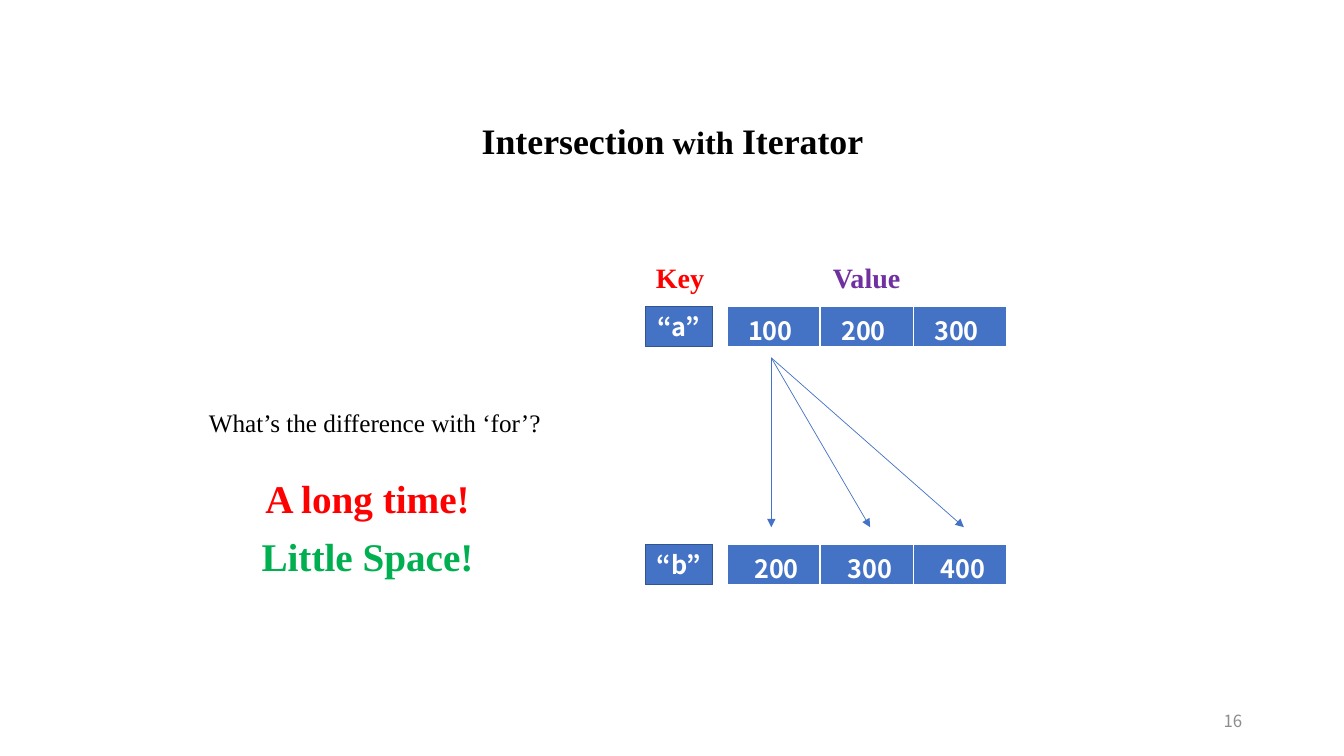
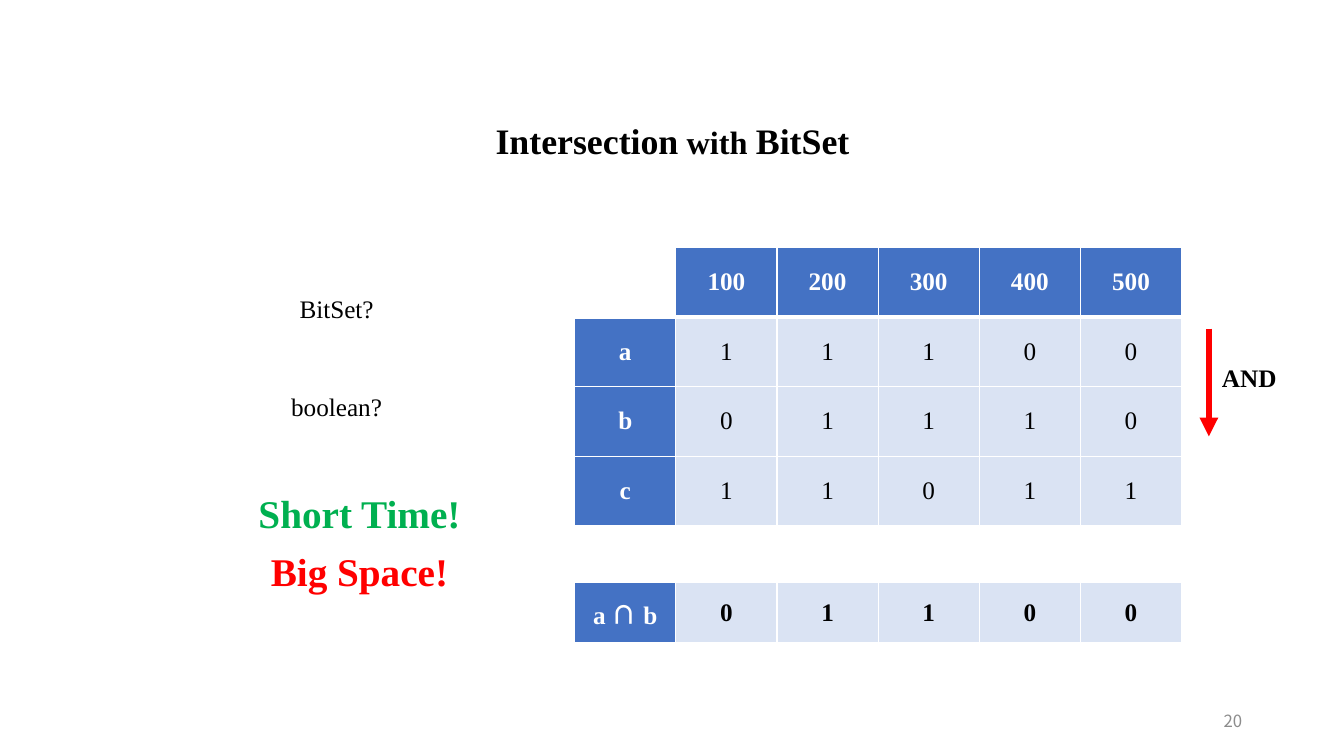
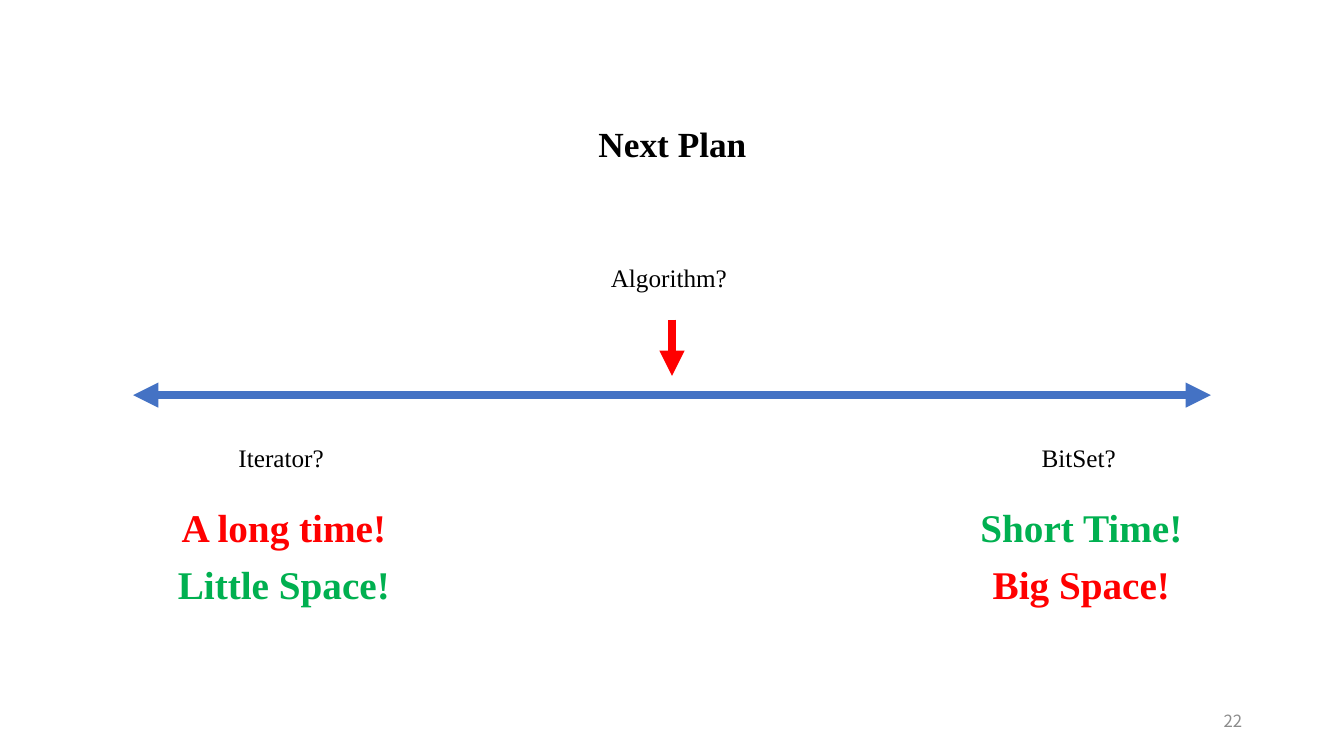
from lxml import etree
from pptx import Presentation
from pptx.dml.color import RGBColor
from pptx.enum.shapes import MSO_CONNECTOR, MSO_SHAPE
from pptx.enum.text import MSO_ANCHOR, PP_ALIGN
from pptx.oxml.ns import qn
from pptx.util import Inches, Pt

COLORS = {
    "black": "000000", "white": "FFFFFF", "blue": "4472C4", "edge": "325491",
    "pale": "DAE3F3", "red": "FF0000", "green": "00B050", "purple": "7030A0",
    "gray": "8C8C8C",
}
SERIF, SANS = "Times New Roman", "Noto Sans CJK KR"
BODY = {"name": SERIF, "size": 18, "color": "black", "bold": False}
HEADING = {**BODY, "bold": True}
CELL_HEAD = {**HEADING, "color": "white"}
BOX_TEXT = {**CELL_HEAD, "name": SANS}
VERDICT = {**HEADING, "size": 28}
PAGE_NUMBER = {**BODY, "name": SANS, "size": 12, "color": "gray"}

LONG_LITTLE = [("A long time!", "red"), ("Little Space!", "green")]
SHORT_BIG = [("Short Time!", "green"), ("Big Space!", "red")]


def rgb(name):
    return RGBColor.from_string(COLORS[name])


# Text
def style_run(r, fmt):
    for key, value in fmt.items():
        if key == "color":
            r.font.color.rgb = rgb(value)
        else:
            setattr(r.font, key, Pt(value) if key == "size" else value)
    etree.SubElement(r.font._element, qn("a:ea")).set("typeface", fmt["name"])


def write(tf, runs, fmt, align=PP_ALIGN.CENTER, spacing=None):
    """Fill the first paragraph; runs is a string or (text, overrides) pairs."""
    p = tf.paragraphs[0]
    p.alignment = align
    if spacing:
        p.line_spacing = spacing
    for text, changes in [(runs, {})] if isinstance(runs, str) else runs:
        r = p.add_run()
        r.text = text
        style_run(r, {**fmt, **changes})


def add_text(s, x, y, w, h, runs, fmt=BODY, anchor=MSO_ANCHOR.TOP, **para):
    tf = s.shapes.add_textbox(Inches(x), Inches(y), Inches(w), Inches(h)).text_frame
    tf.word_wrap = True
    tf.vertical_anchor = anchor
    write(tf, runs, fmt, **para)


def add_verdict(s, x, y, lines):
    for i, (text, color) in enumerate(lines):
        add_text(s, x, y + 0.57 * i, 3.09, 0.57, text, {**VERDICT, "color": color})


# Lines and boxes
def add_arrow(s, start, end, color, width, ends=("tailEnd",)):
    points = [Inches(v) for v in (*start, *end)]
    sp = s.shapes.add_connector(MSO_CONNECTOR.STRAIGHT, *points)
    sp.line.color.rgb = rgb(color)
    sp.line.width = Pt(width)
    ln = sp.line._get_or_add_ln()
    for end_name in ends:
        etree.SubElement(ln, qn(f"a:{end_name}")).set("type", "triangle")
    etree.SubElement(sp._element.spPr, qn("a:effectLst"))


def add_key_box(s, x, y, text):
    sp = s.shapes.add_shape(MSO_SHAPE.RECTANGLE, Inches(x), Inches(y),
                            Inches(0.67), Inches(0.4))
    sp.shadow.inherit = False
    sp.fill.solid()
    sp.fill.fore_color.rgb = rgb("blue")
    sp.line.color.rgb = rgb("edge")
    sp.line.width = Pt(1)
    sp.text_frame.vertical_anchor = MSO_ANCHOR.MIDDLE
    write(sp.text_frame, text, BOX_TEXT)


# Tables
def set_borders(cell, top, bottom):
    tcPr = cell._tc.get_or_add_tcPr()
    widths = {"lnL": 1, "lnR": 1, "lnT": top, "lnB": bottom}
    for i, (side, width) in enumerate(widths.items()):
        ln = etree.Element(qn(f"a:{side}"), w=str(Pt(width)))
        fill = etree.SubElement(ln, qn("a:solidFill"))
        etree.SubElement(fill, qn("a:srgbClr")).set("val", COLORS["white"])
        tcPr.insert(i, ln)


def add_grid(s, x, y, w, h, rows, look, align=PP_ALIGN.CENTER,
             anchor=MSO_ANCHOR.MIDDLE, indent=0.1):
    """Draw equal cells; look(row, column) gives the fill and the text format."""
    frame = s.shapes.add_table(len(rows), len(rows[0]), Inches(x), Inches(y),
                               Inches(w), Inches(h))
    table = frame.table
    table.first_row = table.horz_banding = False
    for i, row in enumerate(rows):
        for j, text in enumerate(row):
            cell = table.cell(i, j)
            fill, fmt = look(i, j)
            cell.fill.solid()
            cell.fill.fore_color.rgb = rgb(fill)
            cell.vertical_anchor = anchor
            cell.margin_left = Inches(indent)
            set_borders(cell, 3 if i == 1 else 1, 3 if i == 0 else 1)
            if text:
                write(cell.text_frame, text, fmt, align)


def value_look(i, j):
    return "blue", BOX_TEXT


def bitset_look(i, j):
    if i == 0 and j == 0:
        return "white", BODY
    return ("blue", CELL_HEAD) if i == 0 or j == 0 else ("pale", BODY)


def result_look(i, j):
    return ("blue", CELL_HEAD) if j == 0 else ("pale", HEADING)


# Frame shared by all slides
def new_slide(prs, title, page, size=25.6, spacing=0.7):
    s = prs.slides.add_slide(prs.slide_layouts[6])
    add_text(s, 2.74, 1.24, 7.86, 0.44, title, {**HEADING, "size": size},
             spacing=spacing)
    add_text(s, 9.42, 6.95, 3, 0.4, page, PAGE_NUMBER, MSO_ANCHOR.MIDDLE,
             align=PP_ALIGN.RIGHT)
    return s


def intersection_title(method):
    return [("Intersection", {}), (" with ", {"size": 23.1}), (method, {})]


# Key and value diagram
def add_key_values(s, x, y):
    for dx, text, color in [(-0.21, "Key", "red"), (1.64, "Value", "purple")]:
        add_text(s, x + dx, y, 1.11, 0.44, text,
                 {**HEADING, "size": 20, "color": color})
    rows = [
        (0.5, "“a”", ["100", "200", "300"],
         {"align": PP_ALIGN.LEFT, "indent": 0.21}),
        (2.86, "“b”", ["200", "300", "400"], {"indent": 0.16}),
    ]
    for dy, key, values, layout in rows:
        add_key_box(s, x, y + dy, key)
        add_grid(s, x + 0.81, y + dy, 2.77, 0.41, [values], value_look,
                 anchor=MSO_ANCHOR.TOP, **layout)
    for dx in (1.25, 2.23, 3.16):
        add_arrow(s, (x + 1.25, y + 1.01), (x + dx, y + 2.69), "blue", 0.5)


# Bit table with its result row
def add_bitset(s, x, y):
    bits = {"a": "11100", "b": "01110", "c": "11011"}
    header = ["", *(str(n) for n in range(100, 600, 100))]
    rows = [header] + [[name, *row] for name, row in bits.items()]
    add_grid(s, x, y, 6.02, 2.77, rows, bitset_look)
    label = [("a ", {}), ("∩", {"name": SANS}), (" b", {})]
    add_grid(s, x, y + 3.33, 6.02, 0.61, [[label, *"01100"]], result_look)
    add_arrow(s, (x + 6.29, y + 0.81), (x + 6.29, y + 1.88), "red", 4.5)
    add_text(s, x + 6.29, y + 1.1, 0.8, 0.4, "AND", HEADING)


# Scale between two choices
def add_choice(s, x, y, name, verdict):
    add_text(s, x + 0.41, y, 2.28, 0.4, name)
    add_verdict(s, x, y + 0.6, verdict)


def add_scale(s, x, y, w):
    add_arrow(s, (x, y), (x + w, y), "blue", 6, ("headEnd", "tailEnd"))
    middle = x + w / 2
    add_arrow(s, (middle, y - 0.75), (middle, y - 0.19), "red", 6)
    add_text(s, middle - 1.14, y - 1.37, 2.28, 0.4, "Algorithm? ")
    add_choice(s, x - 0.05, y + 0.42, "Iterator? ", LONG_LITTLE)
    add_choice(s, x + 7.86, y + 0.42, "BitSet? ", SHORT_BIG)


def iterator_slide(prs):
    s = new_slide(prs, intersection_title("Iterator"), "16")
    add_key_values(s, 6.4, 2.54)
    add_text(s, 1.68, 3.99, 4.14, 0.4, "What’s the difference with ‘for’? ")
    add_verdict(s, 2.1, 4.66, LONG_LITTLE)


def bitset_slide(prs):
    s = new_slide(prs, intersection_title("BitSet"), "20")
    for y, question in [(2.86, "BitSet? "), (3.83, "boolean? ")]:
        add_text(s, 2.23, y, 2.28, 0.4, question)
    add_bitset(s, 5.7, 2.45)
    add_verdict(s, 2.02, 4.81, SHORT_BIG)


def plan_slide(prs):
    s = new_slide(prs, "Next Plan", "22", size=25.2, spacing=0.8)
    add_scale(s, 1.32, 3.92, 10.69)


prs = Presentation()
prs.slide_width, prs.slide_height = Inches(13.33), Inches(7.5)
for build in (iterator_slide, bitset_slide, plan_slide):
    build(prs)
prs.save("out.pptx")
